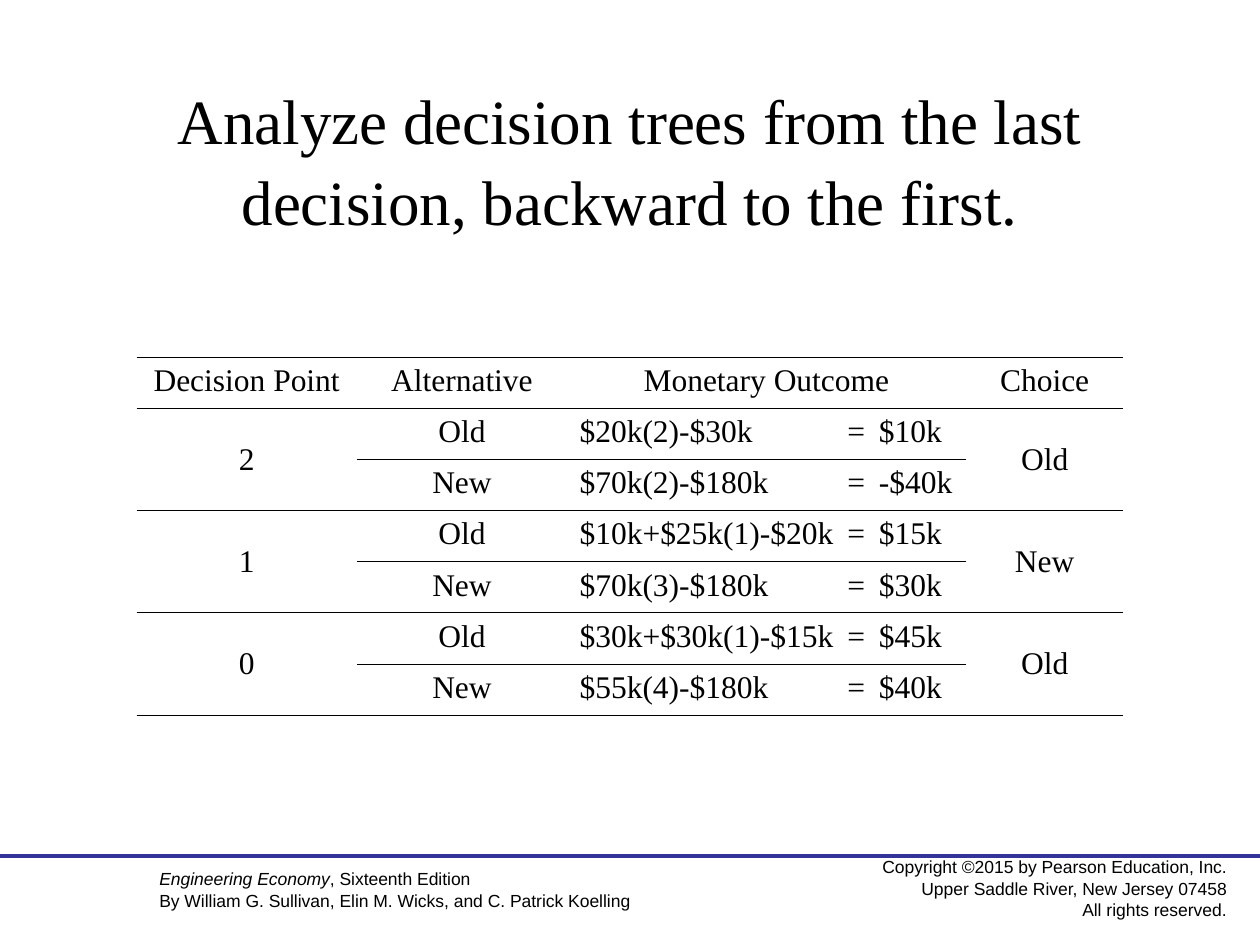
from pptx import Presentation as Deck
from pptx.dml.color import RGBColor as Rgb
from pptx.enum.text import MSO_ANCHOR as Anchor, MSO_AUTO_SIZE as Auto, PP_ALIGN as Align
from pptx.oxml import parse_xml as make
from pptx.oxml.ns import nsdecls as names
from pptx.util import Pt

COLORS = {"ink": "000000", "rule": "333399"}
WIDTHS = (126, 120, 228, 90)
HEIGHT = 29.25
HEADS = ("Decision Point", "Alternative", "Monetary Outcome", "Choice")
POINTS = (
    ("2", "$20k(2)-$30k\t=\t$10k", "$70k(2)-$180k\t=\t-$40k", "Old"),
    ("1", "$10k+$25k(1)-$20k\t=\t$15k", "$70k(3)-$180k\t=\t$30k", "New"),
    ("0", "$30k+$30k(1)-$15k\t=\t$45k", "$55k(4)-$180k\t=\t$40k", "Old"),
)


class Board:
    def __init__(self, slide):
        self.slide = slide
        self.serif = {"name": "Times New Roman", "size": Pt(18)}
        self.title = {**self.serif, "size": Pt(36)}
        self.small = {"name": "Arial", "size": Pt(10)}

    def style(self, item, **values):
        for key, value in values.items():
            setattr(item, key, value)

    def fill(self, para, runs, look, **form):
        self.style(para, **form)
        for text, slant in runs:
            run = para.add_run()
            run.text = text
            self.style(run.font, **look, italic=slant)
            run.font.color.rgb = Rgb.from_string(COLORS["ink"])

    def text(self, area, lines, look, frame, **form):
        box = self.slide.shapes.add_textbox(*map(Pt, area)).text_frame
        self.style(box, word_wrap=True, **frame)
        for row, runs in enumerate(lines):
            para = box.add_paragraph() if row else box.paragraphs[0]
            self.fill(para, runs, look, **form)

    def line(self, start, end, width):
        rule = self.slide.shapes.add_connector(1, *map(Pt, start + end))
        rule.line.color.rgb = Rgb.from_string(COLORS["rule"])
        rule.line.width = Pt(width)
        rule._element.spPr.append(make(f"<a:effectLst {names('a')}/>"))

    def edges(self, cell, sides):
        for spot, side in enumerate(sides):
            cell._tc.get_or_add_tcPr().insert(spot, make(
                f'<a:ln{side} {names("a")} w="{Pt(0.45)}"><a:solidFill>'
                f'<a:srgbClr val="{COLORS["ink"]}"/></a:solidFill></a:ln{side}>'))

    def tabs(self, para, stops):
        marks = "".join(f'<a:tab pos="{Pt(stop)}" algn="l"/>' for stop in stops)
        para._p.get_or_add_pPr().append(
            make(f"<a:tabLst {names('a')}>{marks}</a:tabLst>"))

    def cell(self, cell, text, sides, tall=False, stops=()):
        cell.vertical_anchor = Anchor.MIDDLE if tall else Anchor.TOP
        cell.fill.background()
        self.edges(cell, sides)
        para = cell.text_frame.paragraphs[0]
        if stops:
            self.tabs(para, stops)
        if text:
            self.fill(para, [(text, False)], self.serif,
                      alignment=Align.LEFT if stops else Align.CENTER)

    def table(self, left, top, heads, points):
        count = 1 + 2 * len(points)
        area = (left, top, sum(WIDTHS), HEIGHT * count)
        grid = self.slide.shapes.add_table(count, len(heads), *map(Pt, area)).table
        self.style(grid, first_row=False, horz_banding=False)
        grid._tbl.tblPr[0].text = "{2D5ABB26-0587-4C30-8999-92F81FD0307C}"
        for col, width in zip(grid.columns, WIDTHS):
            col.width = Pt(width)
        for row in grid.rows:
            row.height = Pt(HEIGHT)
        for col, head in enumerate(heads):
            self.cell(grid.cell(0, col), head, "TB")
        for group, (point, old, new, choice) in enumerate(points):
            row = 1 + 2 * group
            for col, text in ((0, point), (3, choice)):
                first, last = grid.cell(row, col), grid.cell(row + 1, col)
                first.merge(last)
                self.cell(first, text, "TB", tall=True)
                self.cell(last, "", "B")
            for step, (name, result) in enumerate((("Old", old), ("New", new))):
                side = "TB"[step]
                self.cell(grid.cell(row + step, 1), name, side)
                self.cell(grid.cell(row + step, 2), result, side, stops=(153, 171))


def main():
    deck = Deck()
    deck.slide_width, deck.slide_height = Pt(720), Pt(540)
    board = Board(deck.slides.add_slide(deck.slide_layouts[6]))
    middle = {"vertical_anchor": Anchor.MIDDLE}
    board.text((480, 486, 228, 42.5), [
        [("Copyright ©2015 by Pearson Education, Inc.", False)],
        [("Upper Saddle River, New Jersey 07458", False)],
        [("All rights reserved.", False)],
    ], board.small, middle, alignment=Align.RIGHT, line_spacing=1.04)
    board.text((84, 492, 360, 31.5), [
        [("Engineering Economy", True), (", Sixteenth Edition", False)],
        [("By William G. Sullivan, Elin M. Wicks, and C. Patrick Koelling", False)],
    ], board.small, {"auto_size": Auto.SHAPE_TO_FIT_TEXT}, line_spacing=1.04)
    board.line((0, 489), (720, 489), 2.25)
    board.text((54, 48, 612, 84), [
        [("Analyze decision trees from the last decision, backward to the first.", False)],
    ], board.title, middle, alignment=Align.CENTER, line_spacing=1.06)
    board.table(78, 204, HEADS, POINTS)
    deck.save("out.pptx")


if __name__ == "__main__":
    main()
